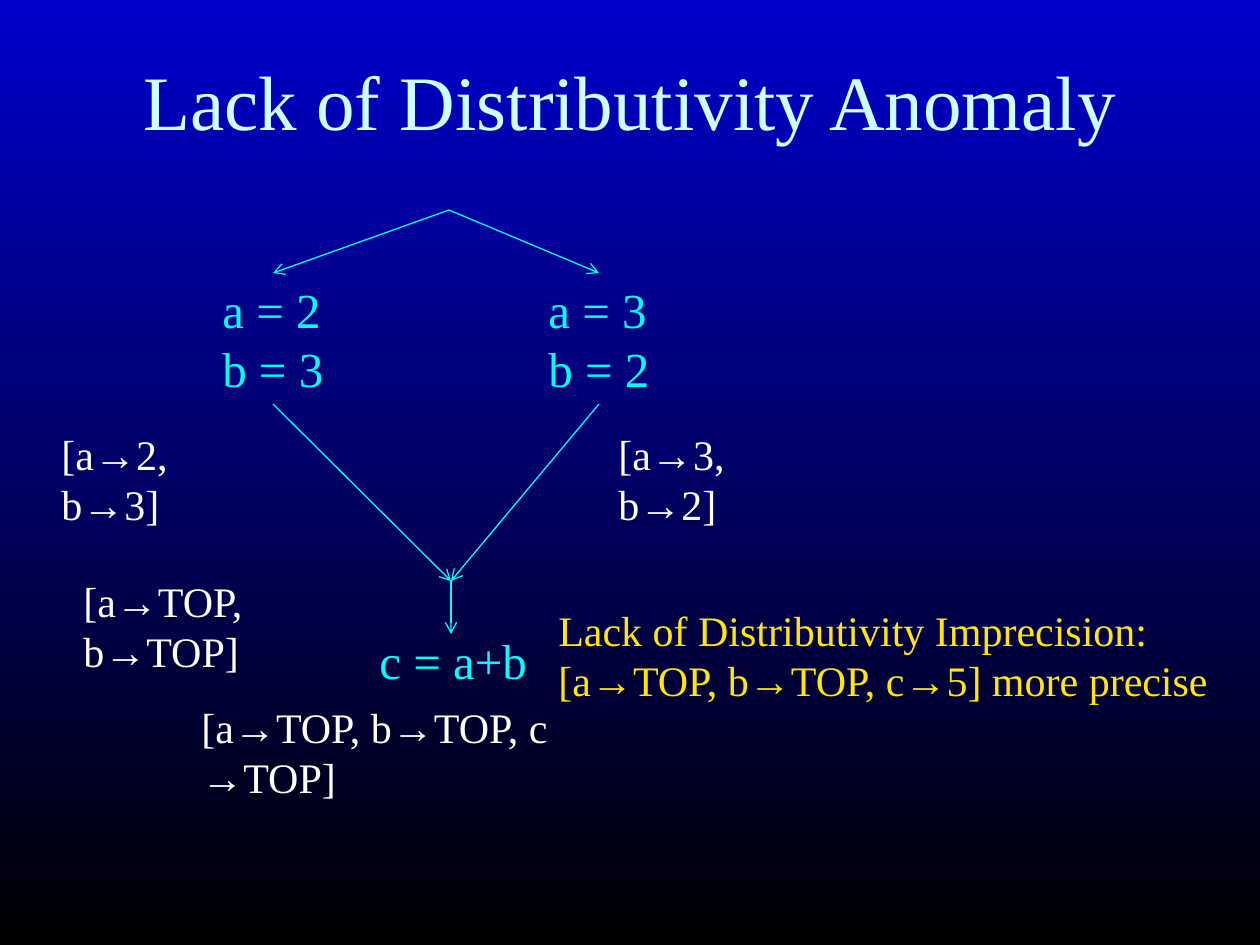
from lxml import etree
from pptx import Presentation
from pptx.dml.color import RGBColor
from pptx.enum.shapes import MSO_CONNECTOR
from pptx.enum.text import MSO_ANCHOR, MSO_AUTO_SIZE, PP_ALIGN
from pptx.oxml.ns import qn
from pptx.util import Pt

STRAIGHT = MSO_CONNECTOR.STRAIGHT
MIDDLE, TOP = MSO_ANCHOR.MIDDLE, MSO_ANCHOR.TOP
CENTER = PP_ALIGN.CENTER
NO_AUTO_SIZE = MSO_AUTO_SIZE.NONE
TOP_SIDE, BOTTOM_SIDE = 0, 2

EMU_PER_PX = 914400 / 126
TEXT_FONT, ARROW_FONT = "Times New Roman", "Arial"
CYAN, WHITE, YELLOW = "00FFFF", "FFFFFF", "FFE701"

TITLE = "Lack of Distributivity Anomaly"
TITLE_BOX = (53, 21, 1155, 158)
BACKGROUND = ("0000CC", "000000")

# Each block: lines of code, box (left, top, width, height)
BRANCHES = [
    (["a = 2", "b = 3"], (210, 273, 126, 131)),
    (["a = 3", "b = 2"], (536, 273, 126, 131)),
]
JOIN_BLOCK = (["c = a+b"], (367, 624, 172, 72))
FORK_POINT, MERGE_POINT, JOIN_ENTRY = (449, 210), (451, 581), (451, 634)

# Each annotation: text, colour, box
ANNOTATIONS = [
    ("[a→3, b→2]", WHITE, (606, 422, 224, 63)),
    ("[a→2, b→3]", WHITE, (49, 422, 224, 63)),
    ("[a→TOP, b→TOP]", WHITE, (71, 569, 340, 63)),
    ("[a→TOP, b→TOP, c →TOP]", WHITE, (189, 695, 504, 63)),
    ("Lack of Distributivity Imprecision: [a→TOP, b→TOP, c→5] more precise",
     YELLOW, (546, 598, 693, 164)),
]


def px(*lengths):
    return [round(length * EMU_PER_PX) for length in lengths]


def rgb(color):
    return RGBColor.from_string(color)


def style(font, size, color, name=TEXT_FONT):
    font.size, font.name = Pt(size), name
    font.color.rgb = rgb(color)


def add_text(slide, lines, box, size, color, wrap):
    """Add a text box, setting every → in the arrow font."""
    shape = slide.shapes.add_textbox(*px(*box))
    frame = shape.text_frame
    frame.word_wrap, frame.auto_size = wrap, NO_AUTO_SIZE
    frame.vertical_anchor = TOP
    for index, line in enumerate(lines):
        paragraph = frame.add_paragraph() if index else frame.paragraphs[0]
        style(paragraph.font, size, color)
        for position, part in enumerate(line.split("→")):
            pieces = [("→", ARROW_FONT)] if position else []
            for text, font_name in pieces + [(part, TEXT_FONT)]:
                run = paragraph.add_run()
                run.text = text
                style(run.font, size, color, font_name)
    return shape


def add_arrow(slide, start, end):
    connector = slide.shapes.add_connector(STRAIGHT, *px(*start, *end))
    connector.line.color.rgb = rgb(CYAN)
    connector.line.width = Pt(0.75)
    line = connector.line._get_or_add_ln()
    etree.SubElement(line, qn("a:tailEnd"), type="arrow")
    etree.SubElement(connector._element.spPr, qn("a:effectLst"))
    return connector


def main():
    presentation = Presentation()
    presentation.slide_width, presentation.slide_height = px(1260, 945)
    slide = presentation.slides.add_slide(presentation.slide_layouts[5])

    fill = slide.background.fill
    fill.gradient()
    fill.gradient_angle = 270
    for stop, color in zip(fill.gradient_stops, BACKGROUND):
        stop.color.rgb = rgb(color)

    title = slide.shapes.title
    title.left, title.top, title.width, title.height = px(*TITLE_BOX)
    title.text_frame.text = TITLE
    title.text_frame.vertical_anchor = MIDDLE
    paragraph = title.text_frame.paragraphs[0]
    paragraph.alignment = CENTER
    style(paragraph.font, 44, "CCFFFF")

    for lines, box in BRANCHES:
        block = add_text(slide, lines, box, 28, CYAN, wrap=False)
        left, top, width, height = box
        middle = left + width // 2
        incoming = add_arrow(slide, FORK_POINT, (middle, top))
        incoming.end_connect(block, TOP_SIDE)
        outgoing = add_arrow(slide, (middle, top + height), MERGE_POINT)
        outgoing.begin_connect(block, BOTTOM_SIDE)

    add_text(slide, *JOIN_BLOCK, 28, CYAN, wrap=False)
    add_arrow(slide, MERGE_POINT, JOIN_ENTRY)

    for text, color, box in ANNOTATIONS:
        add_text(slide, [text], box, 24, color, wrap=True)

    presentation.save("out.pptx")


if __name__ == "__main__":
    main()
